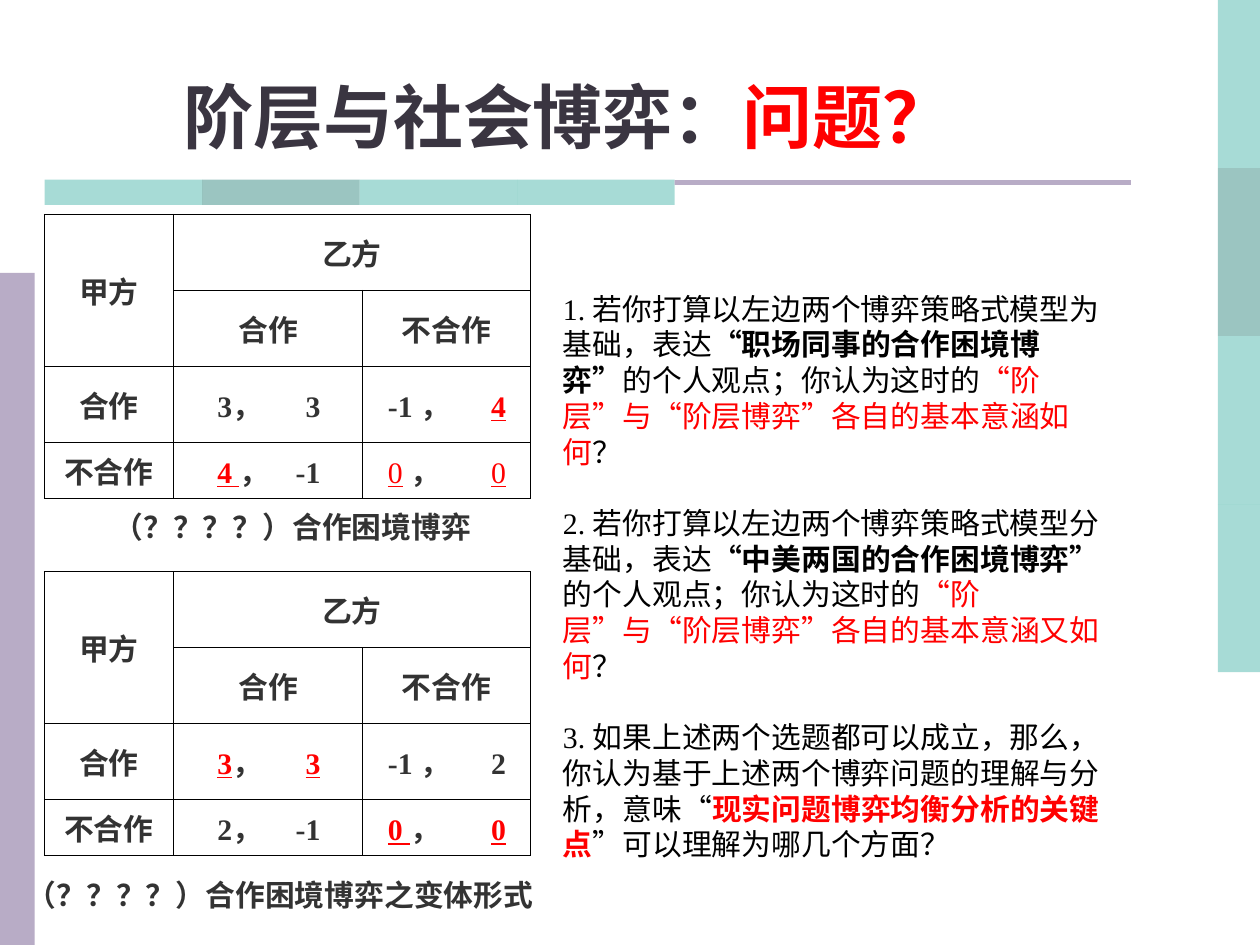
from lxml.etree import SubElement
from pptx import Presentation
from pptx.dml.color import RGBColor
from pptx.enum.lang import MSO_LANGUAGE_ID
from pptx.enum.shapes import MSO_SHAPE
from pptx.enum.text import MSO_ANCHOR, PP_ALIGN
from pptx.oxml.ns import qn
from pptx.util import Cm, Pt

TEAL = RGBColor(0x51, 0xB9, 0xAF)
DEEP = RGBColor(0x39, 0x8D, 0x85)
LILAC = RGBColor(0xB8, 0xAC, 0xC6)
INK = RGBColor(0x3A, 0x35, 0x41)
GREY = RGBColor(0x33, 0x33, 0x33)
BLACK = RGBColor(0, 0, 0)
RED = RGBColor(0xFF, 0, 0)

# Run formats
BASE = {"name": "Times New Roman", "size": Pt(17),
        "language_id": MSO_LANGUAGE_ID.SIMPLIFIED_CHINESE}
LABEL = {"bold": True, "rgb": GREY}
BEST = {"bold": True, "rgb": RED, "underline": True}
THIN = {"bold": False, "rgb": RED, "underline": True}
PLAIN = {"bold": False, "rgb": BLACK}
STRONG = {"bold": True, "rgb": BLACK}
HOT = {"bold": False, "rgb": RED}
KEY = {"bold": True, "rgb": RED}
HEAD = {"size": Pt(40), "bold": True, "rgb": INK}
ASK = {**HEAD, "rgb": RED}

COLS = [2.61, 3.81, 3.38]
ROWS = [1.53, 1.53, 1.53, 1.14]
# Left margin and right tab stop of the payoffs in each column
PAYOFF = {1: (0.88, 2.08), 2: (0.51, 2.38)}

# Payoffs of the two games, by row and column
FIRST = {
    (2, 1): [("3，\t3", LABEL)],
    (2, 2): [("-1 ，\t", LABEL), ("4", BEST)],
    (3, 1): [("4 ", BEST), ("，\t-1", LABEL)],
    (3, 2): [("0", THIN), (" ，\t", LABEL), ("0", THIN)],
}
SECOND = {
    (2, 1): [("3", BEST), ("，\t", LABEL), ("3", BEST)],
    (2, 2): [("-1 ，\t2", LABEL)],
    (3, 1): [("2，\t-1", LABEL)],
    (3, 2): [("0 ", BEST), ("，\t", LABEL), ("0", BEST)],
}
NAMES = {(0, 0): "甲方", (0, 1): "乙方", (1, 1): "合作", (1, 2): "不合作",
         (2, 0): "合作", (3, 0): "不合作"}

TASKS = [
    [("1. 若你打算以左边两个博弈策略式模型为基础，表达", PLAIN),
     ("“职场同事的合作困境博弈”", STRONG),
     ("的个人观点；你认为这时的", PLAIN),
     ("“阶层”与“阶层博弈”各自的基本意涵如何", HOT), ("？", PLAIN)],
    [("2. 若你打算以左边两个博弈策略式模型分基础，表达", PLAIN),
     ("“中美两国的合作困境博弈”", STRONG),
     (" 的个人观点；你认为这时的", PLAIN),
     ("“阶层”与“阶层博弈”各自的基本意涵又如何", HOT), ("？", PLAIN)],
    [("3. 如果上述两个选题都可以成立，那么，你认为基于上述两个博弈问题的理解与分析，意味“", PLAIN),
     ("现实问题博弈均衡分析的关键点", KEY),
     ("”可以理解为哪几个方面？", PLAIN)],
]


def add_bar(slide, left, top, width, height, color, alpha=100):
    bar = slide.shapes.add_shape(MSO_SHAPE.RECTANGLE, Cm(left), Cm(top),
                                 Cm(width), Cm(height))
    bar.shadow.inherit = False
    bar.line.fill.background()
    bar.fill.solid()
    bar.fill.fore_color.rgb = color
    if alpha < 100:
        tone = bar.fill._xPr.find(".//" + qn("a:srgbClr"))
        SubElement(tone, qn("a:alpha"), val=str(alpha * 1000))


def write(para, runs, align):
    para.alignment = align
    # Keep closing marks inside the margin
    para._p.get_or_add_pPr().set("hangingPunct", "0")
    for text, style in runs:
        run = para.add_run()
        run.text = text
        for key, value in {**BASE, **style}.items():
            target = run.font.color if key == "rgb" else run.font
            setattr(target, key, value)


def add_text(slide, left, top, width, height, paras, anchor, align, gap=0):
    box = slide.shapes.add_textbox(Cm(left), Cm(top), Cm(width), Cm(height))
    frame = box.text_frame
    frame.word_wrap = True
    frame.vertical_anchor = anchor
    for i, runs in enumerate(paras):
        para = frame.add_paragraph() if i else frame.paragraphs[0]
        if i and gap:
            para.space_before = Pt(gap)
        write(para, runs, align)


def set_edges(cell):
    props = cell._tc.get_or_add_tcPr()
    for i, side in enumerate(("lnL", "lnR", "lnT", "lnB")):
        edge = props.makeelement(qn("a:" + side), {"w": str(Pt(0.45))})
        fill = SubElement(edge, qn("a:solidFill"))
        SubElement(fill, qn("a:srgbClr"), val=str(BLACK))
        props.insert(i, edge)


def add_tab(para, stop):
    tabs = SubElement(para._p.get_or_add_pPr(), qn("a:tabLst"))
    SubElement(tabs, qn("a:tab"), pos=str(Cm(stop)), algn="r")


def add_game(slide, top, payoffs):
    frame = slide.shapes.add_table(len(ROWS), len(COLS), Cm(0.89), Cm(top),
                                   Cm(sum(COLS)), Cm(sum(ROWS)))
    table = frame.table
    table.first_row = table.horz_banding = False
    for col, width in zip(table.columns, COLS):
        col.width = Cm(width)
    for row, height in zip(table.rows, ROWS):
        row.height = Cm(height)
    for cell in table.iter_cells():
        cell.fill.background()
        cell.vertical_anchor = MSO_ANCHOR.MIDDLE
        set_edges(cell)
    table.cell(0, 0).merge(table.cell(1, 0))
    table.cell(0, 1).merge(table.cell(0, 2))
    for spot, name in NAMES.items():
        para = table.cell(*spot).text_frame.paragraphs[0]
        write(para, [(name, LABEL)], PP_ALIGN.CENTER)
    for spot, runs in payoffs.items():
        cell = table.cell(*spot)
        margin, stop = PAYOFF[spot[1]]
        cell.margin_left = Cm(margin)
        para = cell.text_frame.paragraphs[0]
        add_tab(para, stop)
        write(para, runs, PP_ALIGN.LEFT)


def main():
    deck = Presentation()
    deck.slide_width, deck.slide_height = Cm(25.4), Cm(19.05)
    slide = deck.slides.add_slide(deck.slide_layouts[6])

    # Side and title bars
    for i, color in enumerate((TEAL, DEEP, TEAL, TEAL)):
        add_bar(slide, 24.55, i * 3.387, 0.85, 3.387, color, 50)
        add_bar(slide, 0.9 + i * 3.175, 3.62, 3.175, 0.51, color, 50)
    add_bar(slide, 0, 5.5, 0.7, 13.55, LILAC)
    add_bar(slide, 13.6, 3.63, 9.2, 0.1, LILAC)

    # Title
    add_text(slide, 0, 1.12, 22.9, 2.18,
             [[("阶层与社会博弈：", HEAD), ("问题？", ASK)]],
             MSO_ANCHOR.BOTTOM, PP_ALIGN.CENTER)

    # Games and their captions
    add_game(slide, 4.32, FIRST)
    add_text(slide, 1.3, 10.13, 9.19, 0.99,
             [[("（？？？？）合作困境博弈", LABEL)]],
             MSO_ANCHOR.MIDDLE, PP_ALIGN.CENTER)
    add_game(slide, 11.52, SECOND)
    add_text(slide, 0.2, 17.54, 10.9, 0.99,
             [[("（？？？？）合作困境博弈之变体形式", LABEL)]],
             MSO_ANCHOR.MIDDLE, PP_ALIGN.CENTER)

    # Questions
    add_text(slide, 11.1, 5.73, 11.81, 10.34, TASKS,
             MSO_ANCHOR.TOP, PP_ALIGN.LEFT, gap=20.4)

    deck.save("out.pptx")


if __name__ == "__main__":
    main()
